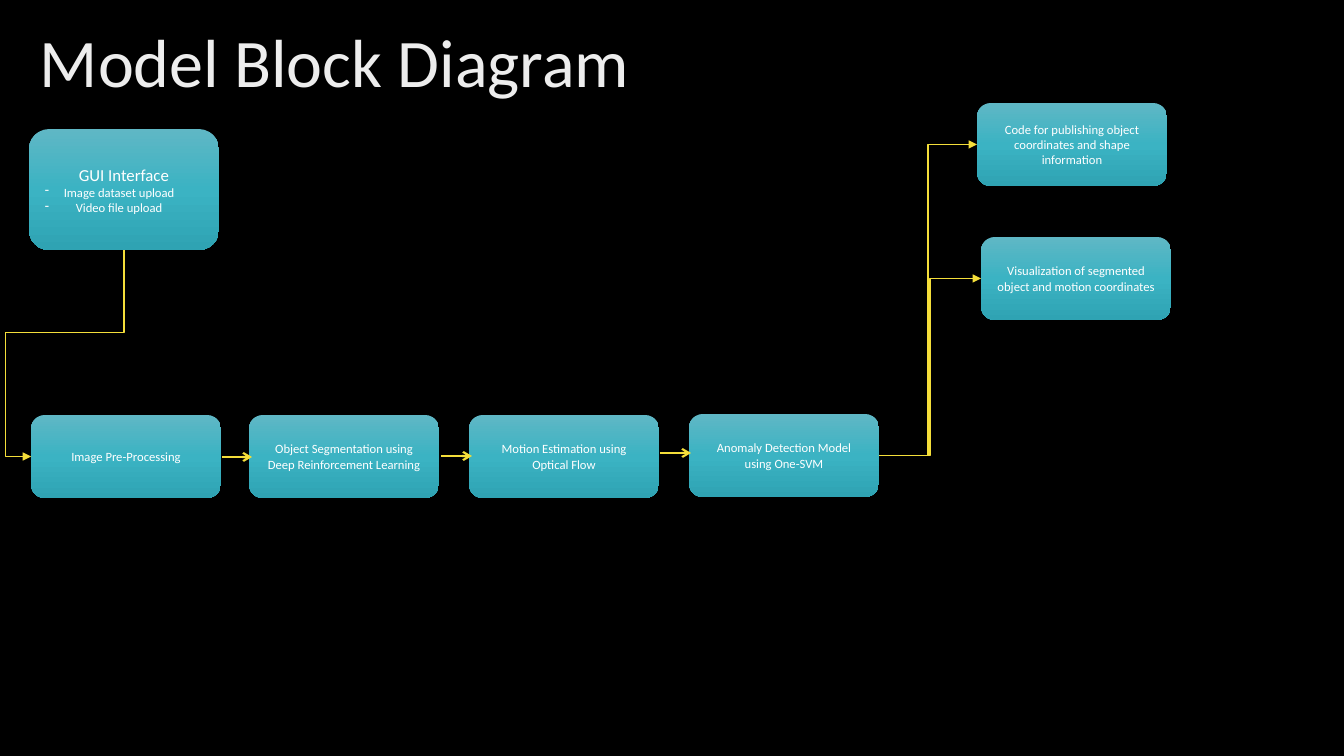
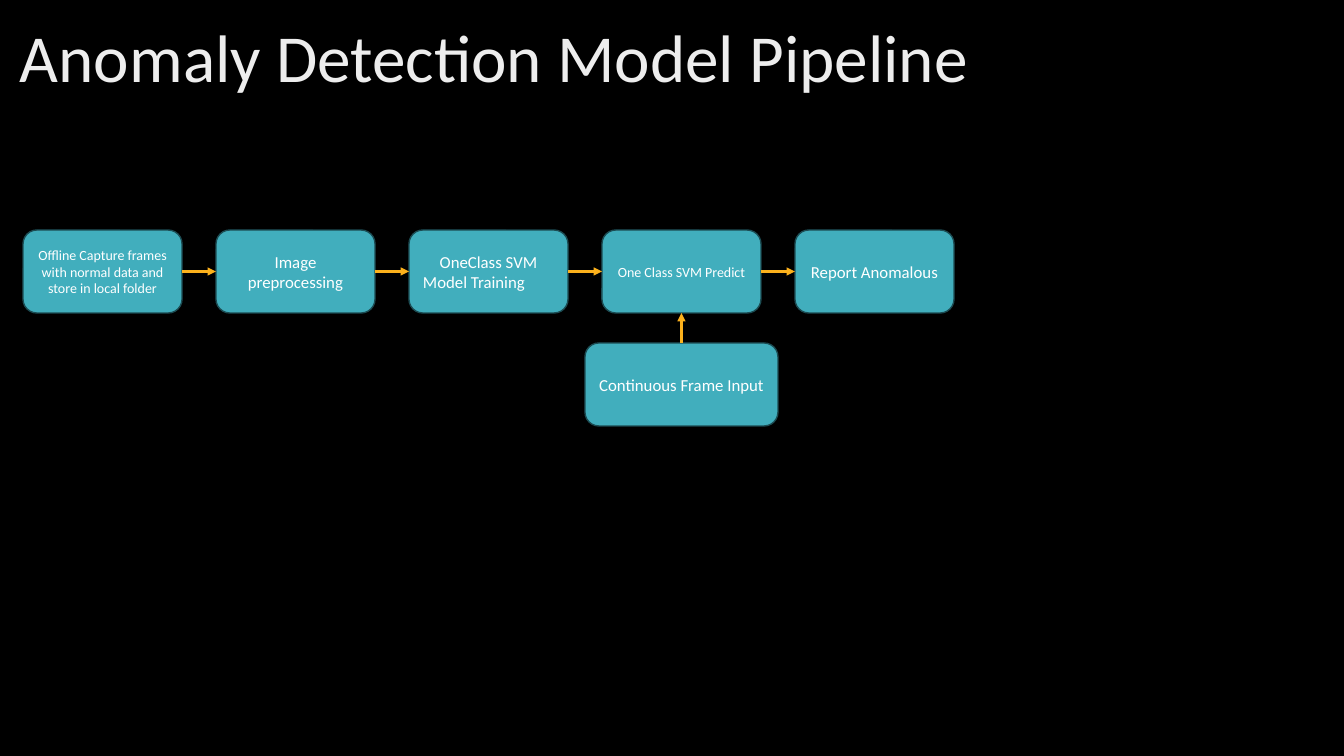
from copy import deepcopy
from itertools import pairwise

from lxml.etree import SubElement
from pptx import Presentation
from pptx.dml.color import RGBColor
from pptx.enum.shapes import MSO_CONNECTOR as Connector, MSO_SHAPE as Shape
from pptx.enum.text import MSO_ANCHOR as Anchor, PP_ALIGN as Align
from pptx.oxml.ns import qn
from pptx.util import Emu, Pt

COLORS = {
    "background": "000000",
    "text": "FFFFFF",
    "box": "41AEBD",
    "box_edge": "1C4C53",
    "yellow": "F4DE3A",
    "orange": "FCB11C",
}
TITLE_STOPS = [(0, "BFBFBF"), (0.28, "EDEDED"), (1, "FFFFFF")]
BOX_STOPS = [(0, "5FB7C5"), (0.5, "3BB3C3"), (1, "2FA3B3")]
FONT = "Calibri"
TOP, LEFT, BOTTOM, RIGHT = range(4)  # connection sites of a rounded rectangle
BOX_HEIGHT = 83


def px(length):
    return Emu(round(length * 914400 / 100.8))


def rgb(name):
    return RGBColor.from_string(COLORS[name])


def fill_gradient(fill, element, stops, clockwise_angle):
    fill.gradient()
    fill.gradient_angle = 360 - clockwise_angle
    stop_list = next(element.iter(qn("a:gsLst")))
    stop_list.append(deepcopy(stop_list[0]))
    for stop, (position, color) in zip(fill.gradient_stops, stops):
        stop.position = position
        stop.color.rgb = RGBColor.from_string(color)


class Deck:
    def __init__(self):
        self.presentation = Presentation()
        self.presentation.slide_width = px(1344)
        self.presentation.slide_height = px(756)
        self.slide = None

    def add_slide(self):
        self.slide = self.presentation.slides.add_slide(self.presentation.slide_layouts[6])
        background = self.slide.background.fill
        background.solid()
        background.fore_color.rgb = rgb("background")

    def add_run(self, paragraph, text, size):
        run = paragraph.add_run()
        run.text = text
        run.font.name = FONT
        run.font.size = Pt(size)
        run.font.color.rgb = rgb("text")
        return run

    def add_title(self, text, left, top, width, height, size):
        shape = self.slide.shapes.add_textbox(px(left), px(top), px(width), px(height))
        frame = shape.text_frame
        frame.word_wrap = True
        frame.vertical_anchor = Anchor.MIDDLE
        paragraph = frame.paragraphs[0]
        paragraph.line_spacing = 0.9
        run = self.add_run(paragraph, text, size)
        fill_gradient(run.font.fill, shape.element, TITLE_STOPS, 80)

    def add_box(self, text, left, top, width, height=BOX_HEIGHT, size=9, shaded=False):
        shape = self.slide.shapes.add_shape(
            Shape.ROUNDED_RECTANGLE, px(left), px(top), px(width), px(height))
        shape.shadow.inherit = False
        if shaded:
            fill_gradient(shape.fill, shape.element, BOX_STOPS, 90)
            shape.line.fill.background()
        else:
            shape.fill.solid()
            shape.fill.fore_color.rgb = rgb("box")
            shape.line.color.rgb = rgb("box_edge")
            shape.line.width = Pt(1)
        frame = shape.text_frame
        frame.word_wrap = True
        frame.vertical_anchor = Anchor.MIDDLE
        paragraph = frame.paragraphs[0]
        paragraph.alignment = Align.CENTER
        self.add_run(paragraph, text, size)
        return shape

    def add_dash_item(self, box, text, indent):
        paragraph = box.text_frame.add_paragraph()
        paragraph.alignment = Align.JUSTIFY
        properties = paragraph._p.get_or_add_pPr()
        properties.set("marL", str(px(indent)))
        properties.set("indent", str(-px(indent)))
        SubElement(properties, qn("a:buChar"), char="-")
        self.add_run(paragraph, text, 9)

    def style_connector(self, connector, color, width, head):
        connector.line.color.rgb = rgb(color)
        connector.line.width = Pt(width)
        properties = connector.element.spPr
        SubElement(properties.find(qn("a:ln")), qn("a:tailEnd"), type=head)
        SubElement(properties, qn("a:effectLst"))

    def add_arrow(self, start_x, end_x, y):
        connector = self.slide.shapes.add_connector(
            Connector.STRAIGHT, px(start_x), px(y), px(end_x), px(y))
        self.style_connector(connector, "yellow", 1.5, "arrow")

    def add_link(self, source, source_site, target, target_site,
                 kind=Connector.STRAIGHT, color="orange", width=1.5):
        """Join two boxes with an arrow glued to their connection sites."""
        connector = self.slide.shapes.add_connector(kind, 0, 0, 0, 0)
        connector.begin_connect(source, source_site)
        connector.end_connect(target, target_site)
        self.style_connector(connector, color, width, "triangle")
        return connector

    def bend_around(self, connector, **adjustments):
        """Turn an elbow a quarter so that it leaves downwards and passes its target's side."""
        width, height = connector.width, connector.height
        left = connector.left + (width - height) // 2
        top = connector.top + (height - width) // 2
        connector.left, connector.top = left, top
        connector.width, connector.height = height, width
        properties = connector.element.spPr
        transform = properties.find(qn("a:xfrm"))
        transform.attrib.pop("flipH", None)
        transform.set("rot", str(90 * 60000))
        geometry = properties.find(qn("a:prstGeom"))
        geometry.set("prst", "bentConnector4")
        for name, value in adjustments.items():
            SubElement(geometry.find(qn("a:avLst")), qn("a:gd"), name=name, fmla=f"val {value}")

    def save(self):
        self.presentation.save("out.pptx")


def build_block_diagram(deck):
    deck.add_slide()
    deck.add_title("Model Block Diagram", 30, 28, 1298, 75, 48.6)
    interface = deck.add_box("GUI Interface", 29, 129, 190, 121, size=12, shaded=True)
    deck.add_dash_item(interface, "Image dataset upload", 19)
    deck.add_dash_item(interface, "Video file upload", 31)

    stages = [
        ("Image Pre-Processing", 31, 415),
        ("Object Segmentation using Deep Reinforcement Learning", 249, 415),
        ("Motion Estimation using Optical Flow", 469, 415),
        ("Anomaly Detection Model using One-SVM", 689, 414),
        ("Code for publishing object coordinates and shape information", 977, 103),
        ("Visualization of segmented object and motion coordinates", 981, 237),
    ]
    boxes = [deck.add_box(text, left, top, 190, shaded=True) for text, left, top in stages]
    preprocessing, _, _, anomaly_model, *outputs = boxes

    for start_x, end_x, y in [(222, 252, 457), (441, 472, 456), (660, 691, 453)]:
        deck.add_arrow(start_x, end_x, y)
    elbow = {"kind": Connector.ELBOW, "color": "yellow", "width": 1}
    upload_link = deck.add_link(interface, BOTTOM, preprocessing, LEFT, **elbow)
    deck.bend_around(upload_link, adj1=39900, adj2=127200)
    for output in outputs:
        deck.add_link(anomaly_model, RIGHT, output, LEFT, **elbow)


def build_pipeline(deck):
    deck.add_slide()
    deck.add_title("Anomaly Detection Model Pipeline", 10, 10, 1320, 102, 48)
    steps = [
        ("Offline Capture frames with normal data and store in local folder", 10),
        ("Image preprocessing", 12),
        ("OneClass SVM Model Training\t", 12),
        ("One Class SVM Predict", 10),
        ("Report Anomalous", 12),
    ]
    boxes = [deck.add_box(text, 23 + 193 * index, 230, 159, size=size)
             for index, (text, size) in enumerate(steps)]
    for source, target in pairwise(boxes):
        deck.add_link(source, RIGHT, target, LEFT)
    frame_input = deck.add_box("Continuous Frame Input", 585, 343, 193, size=12)
    deck.add_link(frame_input, TOP, boxes[3], BOTTOM)


def main():
    deck = Deck()
    build_block_diagram(deck)
    build_pipeline(deck)
    deck.save()


if __name__ == "__main__":
    main()
